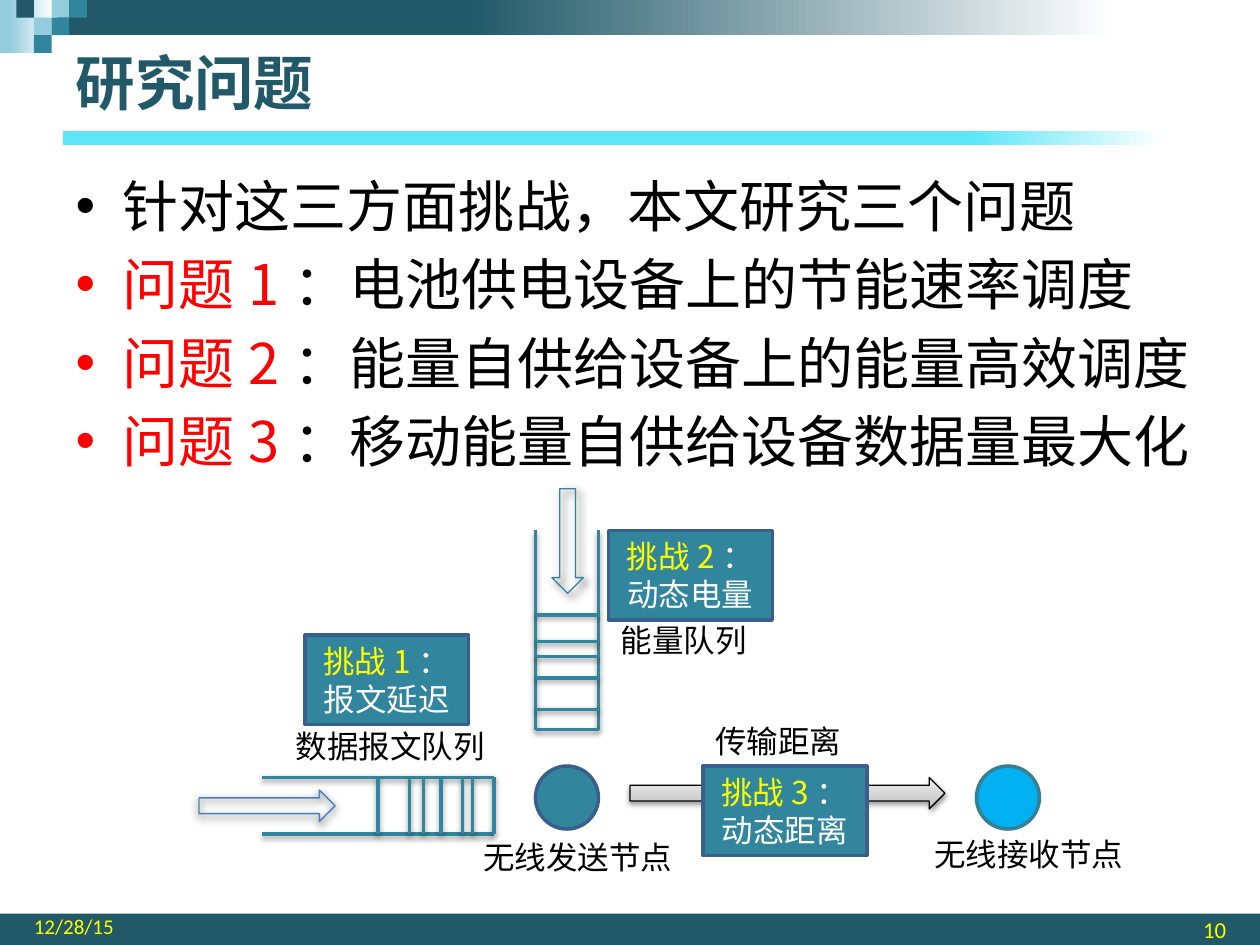
import copy

import lxml.etree
import pptx
import pptx.dml.color
import pptx.enum.shapes
import pptx.enum.text
import pptx.oxml.ns
import pptx.util

Inches, Pt = pptx.util.Inches, pptx.util.Pt
SHAPE = pptx.enum.shapes.MSO_SHAPE
ALIGN = pptx.enum.text.PP_ALIGN
ANCHOR = pptx.enum.text.MSO_ANCHOR
qn = pptx.oxml.ns.qn

COLORS = {
    "dark": "215968", "teal": "31859C", "pale": "93CDDD", "cyan": "5DE6F9",
    "white": "FFFFFF", "black": "000000", "red": "FF0000", "yellow": "FFFF00",
    "sky": "00B0F0", "edge": "3A5F8C", "sky_edge": "377F92", "blue": "4B7EBC",
    "gray1": "BDBDBD", "gray2": "D1D1D1", "gray3": "EEEEEE",
}
CJK = "Noto Sans CJK SC"
# Shadows: opacity %, blur pt, distance pt, direction in degrees
SOFT = (38, 3.1, 1.6, 90)
DIAGONAL = (90, 5, 3, 45)
BELOW = (90, 5, 1.8, 90)


def rgb(name):
    return pptx.dml.color.RGBColor.from_string(COLORS[name])


class SlideBuilder:
    """Holds the style and the current slide."""

    def __init__(self, prs):
        self.s = prs.slides.add_slide(prs.slide_layouts[1])

    def shadow(self, sp, values):
        """Give a shape or connector its own shadow, or none."""
        spPr = sp._element.spPr
        effects = spPr.find(qn("a:effectLst"))
        if effects is None:
            effects = lxml.etree.SubElement(spPr, qn("a:effectLst"))
        if values:
            alpha, blur, dist, angle = values
            outer = lxml.etree.SubElement(
                effects, qn("a:outerShdw"), blurRad=str(Pt(blur)),
                dist=str(Pt(dist)), dir=str(angle * 60000), rotWithShape="0")
            color = lxml.etree.SubElement(outer, qn("a:srgbClr"), val=COLORS["black"])
            lxml.etree.SubElement(color, qn("a:alpha"), val=str(alpha * 1000))

    def gradient(self, sp, stops, angle):
        """Fill with (percent, colour) stops."""
        sp.fill.gradient()
        sp.fill.gradient_angle = angle
        gs_list = sp._element.spPr.find(".//" + qn("a:gsLst"))
        while len(gs_list) < len(stops):
            gs_list.append(copy.deepcopy(gs_list[-1]))
        for stop, (percent, color) in zip(sp.fill.gradient_stops, stops):
            stop.position = percent / 100
            stop.color.rgb = rgb(color)

    def shape(self, kind, x, y, w, h, fill=None, line=None, width=2,
              shadow=None, angle=0):
        sp = self.s.shapes.add_shape(kind, Inches(x), Inches(y), Inches(w), Inches(h))
        if fill is None:
            sp.fill.background()
        elif isinstance(fill, str):
            sp.fill.solid()
            sp.fill.fore_color.rgb = rgb(fill)
        else:
            self.gradient(sp, fill, angle)
        if line:
            sp.line.color.rgb = rgb(line)
            sp.line.width = Pt(width)
        else:
            sp.line.fill.background()
        sp.shadow.inherit = False
        self.shadow(sp, shadow)
        return sp

    def line(self, x1, y1, x2, y2):
        cn = self.s.shapes.add_connector(
            pptx.enum.shapes.MSO_CONNECTOR.STRAIGHT,
            Inches(x1), Inches(y1), Inches(x2), Inches(y2))
        cn.line.color.rgb = rgb("teal")
        cn.line.width = Pt(2)
        self.shadow(cn, SOFT)

    def add_runs(self, tf, paragraphs, size, align=ALIGN.LEFT, font=CJK, bold=False):
        """Fill a text frame with paragraphs, each a list of (text, colour) runs."""
        for i, runs in enumerate(paragraphs):
            p = tf.add_paragraph() if i else tf.paragraphs[0]
            p.alignment = align
            for text, color in runs:
                r = p.add_run()
                r.text = text
                r.font.size = Pt(size)
                r.font.name = font
                r.font.bold = bold
                r.font.color.rgb = rgb(color)
                lxml.etree.SubElement(r.font._element, qn("a:ea"), typeface=font)

    def text(self, x, y, w, h, text, size=18, align=ALIGN.LEFT, color="black",
             font=CJK, anchor=ANCHOR.TOP):
        box = self.s.shapes.add_textbox(Inches(x), Inches(y), Inches(w), Inches(h))
        tf = box.text_frame
        tf.word_wrap = True
        tf.vertical_anchor = anchor
        self.add_runs(tf, [[(text, color)]], size, align, font)

    def placeholder(self, ph, x, y, w, h, paragraphs, size, bold=False):
        ph.left, ph.top, ph.width, ph.height = map(Inches, (x, y, w, h))
        ph.text_frame.auto_size = pptx.enum.text.MSO_AUTO_SIZE.NONE
        self.add_runs(ph.text_frame, paragraphs, size, bold=bold)

    def challenge(self, x, y, number, text):
        sp = self.shape(SHAPE.RECTANGLE, x, y, 1.3, 0.71, "teal", "edge")
        sp.text_frame.word_wrap = True
        self.add_runs(sp.text_frame,
                      [[(f"挑战{number}", "yellow"), ("：", "white")], [(text, "white")]],
                      18, ALIGN.CENTER)


def main():
    prs = pptx.Presentation()
    prs.slide_width, prs.slide_height = Inches(10), Inches(7.5)
    b = SlideBuilder(prs)

    # Footer band, title rule and header band
    b.shape(SHAPE.RECTANGLE, 0, 7.25, 10, 0.25, "dark")
    b.shape(SHAPE.RECTANGLE, 0.5, 1.04, 9.5, 0.11, [(76, "cyan"), (92, "white")])
    b.shape(SHAPE.RECTANGLE, 0, 0, 0.42, 0.42, [(18, "pale"), (100, "white")])
    b.shape(SHAPE.RECTANGLE, 0.45, 0, 9.55, 0.28, [(34, "dark"), (88, "white")])

    # Header mosaic on a square grid
    tile = 0.14
    for col, row, color in [(2, 0, "pale"), (3, 0, "teal"), (1, 1, "pale"),
                            (0, 0, "dark"), (2, 1, "teal"), (1, 2, "teal")]:
        b.shape(SHAPE.RECTANGLE, 0.13 + col * tile, row * tile, tile, tile, color)

    # Title and list
    b.placeholder(b.s.shapes.title, 0.5, 0.31, 8.71, 0.68,
                  [[("研究问题", "dark")]], 34, bold=True)
    problems = ["电池供电设备上的节能速率调度", "能量自供给设备上的能量高效调度",
                "移动能量自供给设备数据量最大化"]
    items = [[("针对这三方面挑战，本文研究三个问题", "black")]]
    items += [[(f"问题{n}", "red"), (f"：{text}", "black")]
              for n, text in enumerate(problems, 1)]
    b.placeholder(b.s.placeholders[1], 0.5, 1.31, 9.17, 5.86, items, 32)

    # Date and slide number
    b.text(0.17, 7.25, 2.33, 0.25, "12/28/15", 12, color="yellow",
           font="Calibri", anchor=ANCHOR.BOTTOM)
    b.text(7.5, 7.25, 2.33, 0.25, "10", 13, ALIGN.RIGHT, "yellow",
           "Calibri", ANCHOR.MIDDLE)

    # Energy queue
    left, right, bottom = 4.25, 4.75, 5.79
    for x in (left, right):
        b.line(x, 4.21, x, bottom)
    for y in (bottom, 5.63, 4.88, 5.09, 5.21, 5.38):
        b.line(left, y, right, y)
    b.shape(SHAPE.DOWN_ARROW, 4.38, 3.88, 0.25, 0.83, None, "teal", 0.75, DIAGONAL)
    b.text(4.83, 4.88, 1.33, 0.4, "能量队列")

    # Sender, receiver and the link between them
    b.shape(SHAPE.OVAL, 4.25, 6.08, 0.5, 0.5, "teal", "edge")
    b.shape(SHAPE.OVAL, 7.75, 6.08, 0.5, 0.5, "sky", "sky_edge")
    b.shape(SHAPE.RIGHT_ARROW, 5, 6.17, 2.5, 0.25,
            [(0, "gray1"), (35, "gray2"), (100, "gray3")], "black", 0.75, SOFT, 90)

    # Data packet queue
    top, bottom, end = 6.17, 6.62, 3.92
    for y in (top, bottom):
        b.line(2.08, y, end, y)
    for x in (end, 3, 3.25, 3.36, 3.5, 3.67, 3.75):
        b.line(x, top, x, bottom)
    b.shape(SHAPE.RIGHT_ARROW, 1.58, 6.27, 1.08, 0.25, None, "blue", 0.75, BELOW)

    # Labels
    b.text(2.25, 5.72, 2, 0.4, "数据报文队列")
    b.text(3.67, 6.6, 1.83, 0.4, "无线发送节点", align=ALIGN.CENTER)
    b.text(7.25, 6.58, 1.83, 0.4, "无线接收节点", align=ALIGN.CENTER)
    b.text(5.58, 5.68, 1.25, 0.4, "传输距离")

    # Challenges
    b.challenge(4.83, 4.21, 2, "动态电量")
    b.challenge(5.58, 6.08, 3, "动态距离")
    b.challenge(2.42, 5.04, 1, "报文延迟")

    prs.save("out.pptx")


if __name__ == "__main__":
    main()
